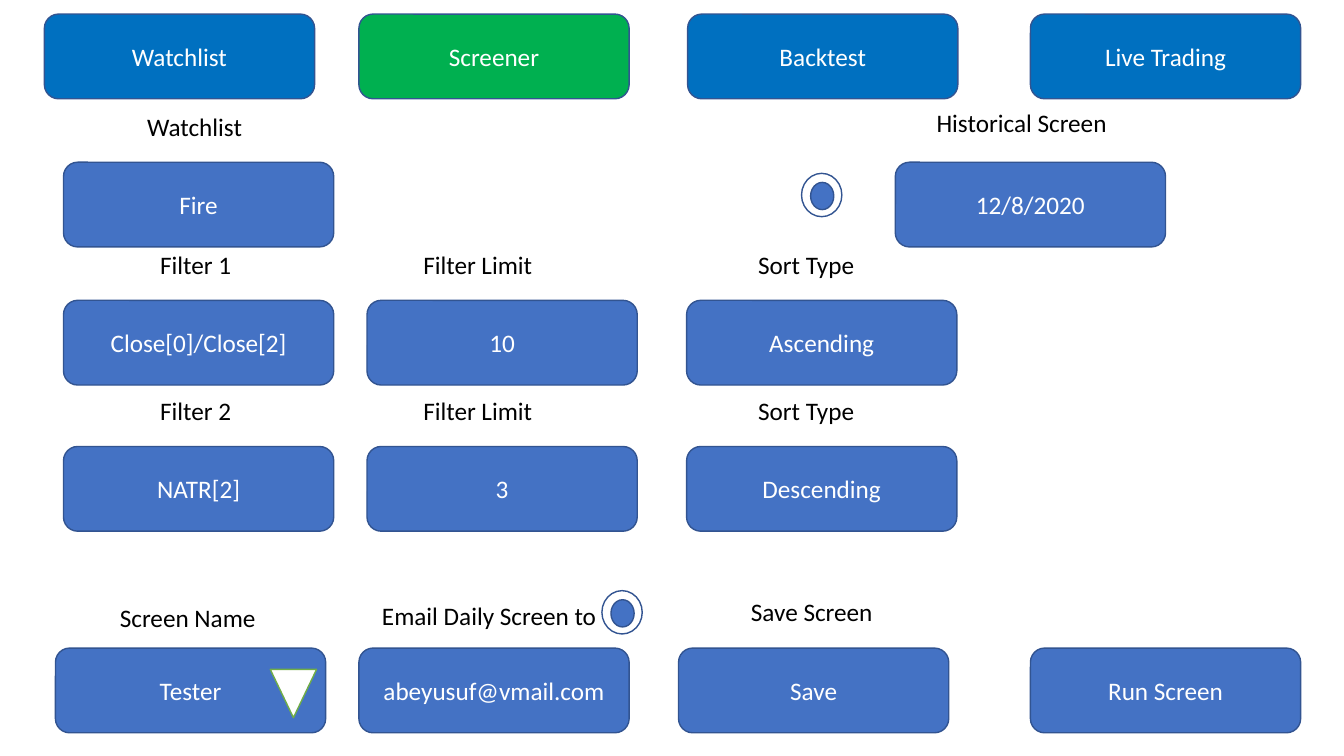
from pptx import Presentation
from pptx import util as u
from pptx.dml.color import RGBColor
from pptx.enum import shapes, text

COLORS = {
    "field": "4472C4",
    "tab": "0070C0",
    "active": "00B050",
    "outline": "325491",
    "marker": "70AD47",
    "light": "FFFFFF",
    "dark": "000000",
}


class ScreenerPage:
    font_name = "Calibri"
    font_size = 18
    button_size = (2.68, 0.84)
    label_height = 0.4

    def __init__(self, deck):
        self.page = deck.slides.add_slide(deck.slide_layouts[6])

    def color(self, name):
        return RGBColor.from_string(COLORS[name])

    def set_words(self, box, words, color, align):
        para = box.text_frame.paragraphs[0]
        para.text = words
        para.alignment = align
        span = para.runs[0]
        span.font.name = self.font_name
        span.font.size = u.Pt(self.font_size)
        span.font.color.rgb = self.color(color)

    def shape(self, kind, left, top, width, height, fill, line="outline"):
        box = self.page.shapes.add_shape(
            kind, u.Inches(left), u.Inches(top), u.Inches(width), u.Inches(height)
        )
        box.shadow.inherit = False
        box.fill.solid()
        box.fill.fore_color.rgb = self.color(fill)
        box.line.color.rgb = self.color(line)
        box.line.width = u.Pt(1)
        return box

    def button(self, words, left, top, fill="field"):
        box = self.shape(
            shapes.MSO_SHAPE.ROUNDED_RECTANGLE, left, top, *self.button_size, fill
        )
        box.text_frame.word_wrap = True
        box.text_frame.vertical_anchor = text.MSO_ANCHOR.MIDDLE
        self.set_words(box, words, "light", text.PP_ALIGN.CENTER)

    def label(self, words, left, top, width):
        box = self.page.shapes.add_textbox(
            u.Inches(left), u.Inches(top), u.Inches(width), u.Inches(self.label_height)
        )
        box.text_frame.word_wrap = True
        box.text_frame.auto_size = text.MSO_AUTO_SIZE.SHAPE_TO_FIT_TEXT
        self.set_words(box, words, "dark", text.PP_ALIGN.LEFT)

    def radio(self, left, top):
        oval = shapes.MSO_SHAPE.OVAL
        self.shape(oval, left, top, 0.4, 0.43, "light")
        self.shape(oval, left + 0.09, top + 0.09, 0.23, 0.27, "field")

    def dropdown_marker(self, left, top):
        marker = self.shape(
            shapes.MSO_SHAPE.ISOSCELES_TRIANGLE, left, top, 0.46, 0.48, "light", "marker"
        )
        marker.rotation = 180


def main():
    deck = Presentation()
    deck.slide_width = u.Inches(13.33)
    deck.slide_height = u.Inches(7.5)
    screener = ScreenerPage(deck)

    filter_lefts = (0.63, 3.64, 6.81)
    filter_labels = ((1.49, 1.04), (4.1, 1.76), (7.42, 1.76))
    filters = (
        (2.98, ("Close[0]/Close[2]", "10", "Ascending")),
        (4.43, ("NATR[2]", "3", "Descending")),
    )
    for number, (top, values) in enumerate(filters, 1):
        captions = (f"Filter {number}", "Filter Limit", "Sort Type")
        for value, left in zip(values, filter_lefts):
            screener.button(value, left, top)
        for caption, (left, width) in zip(captions, filter_labels):
            screener.label(caption, left, top - 0.56, width)

    screener.button("Fire", 0.63, 1.61)
    screener.label("Watchlist", 1.36, 1.06, 1.81)

    tabs = (
        ("Watchlist", 0.44),
        ("Screener", 3.56),
        ("Backtest", 6.82),
        ("Live Trading", 10.22),
    )
    for name, left in tabs:
        screener.button(name, left, 0.14, "active" if name == "Screener" else "tab")

    screener.radio(7.95, 1.72)
    screener.label("Historical Screen", 9.19, 1.02, 2.48)
    screener.button("12/8/2020", 8.88, 1.61)

    actions = (
        ("Tester", 0.55),
        ("abeyusuf@vmail.com", 3.56),
        ("Save", 6.73),
        ("Run Screen", 10.22),
    )
    for name, left in actions:
        screener.button(name, left, 6.43)
    screener.label("Screen Name", 1.09, 5.93, 1.68)
    screener.label("Email Daily Screen to", 3.69, 5.91, 2.55)
    screener.label("Save Screen", 7.35, 5.87, 1.76)
    screener.radio(5.97, 5.86)
    screener.dropdown_marker(2.68, 6.64)

    deck.save("out.pptx")


if __name__ == "__main__":
    main()
